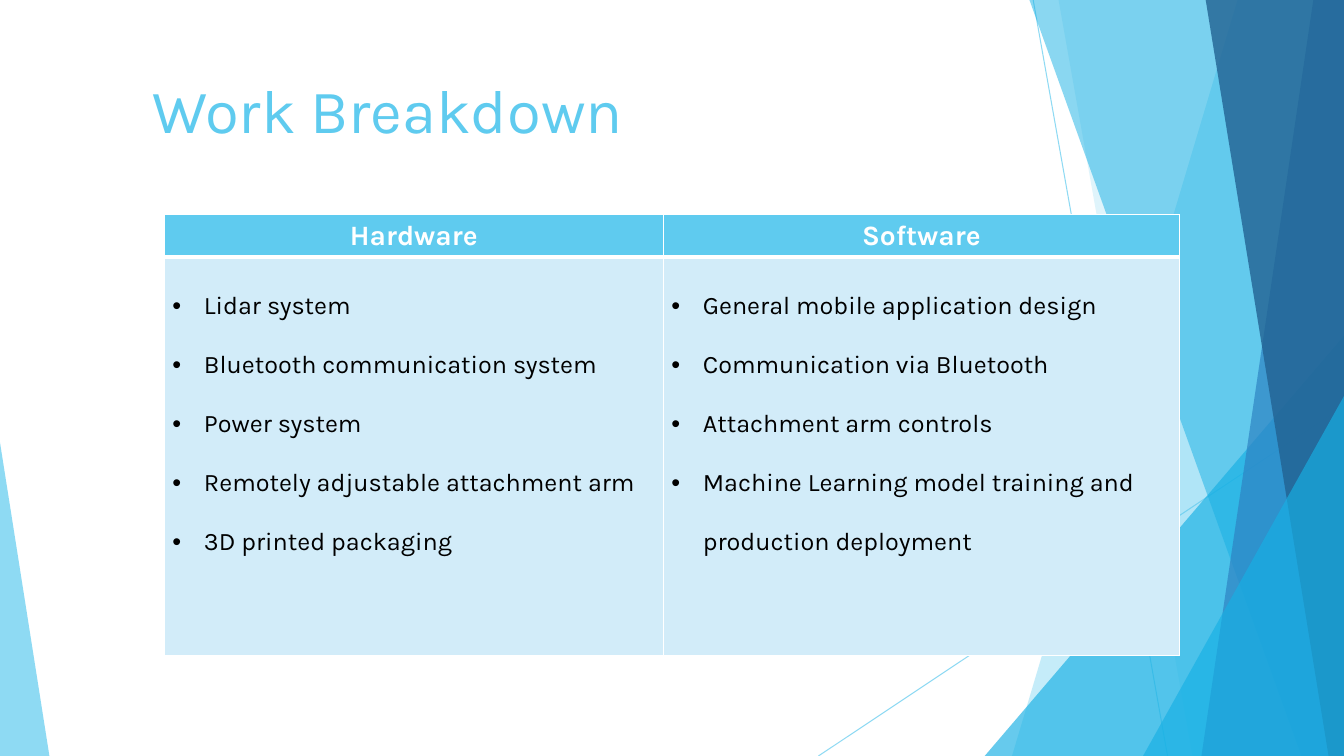
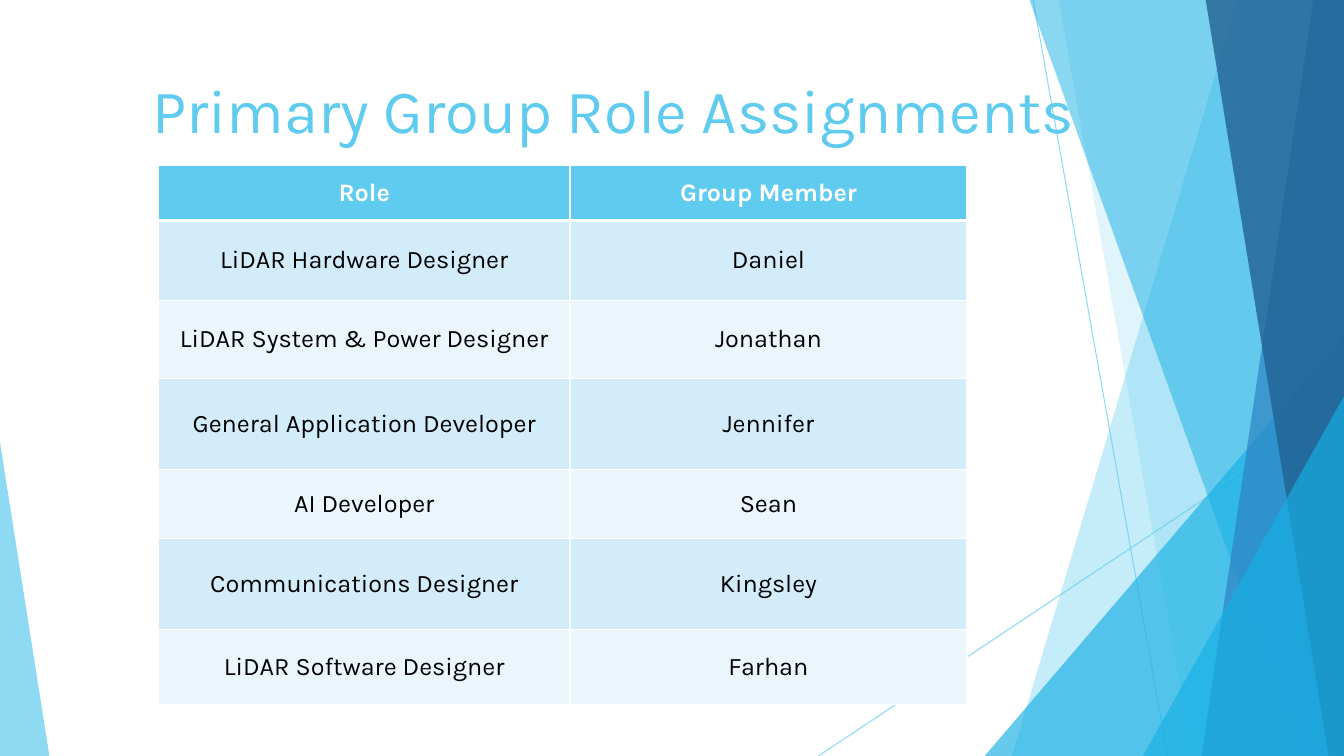
import dataclasses
import typing

import lxml.etree
import pptx
import pptx.dml.color
import pptx.enum.shapes
import pptx.enum.text
import pptx.oxml.ns
import pptx.slide
import pptx.table
import pptx.util

Pt = pptx.util.Pt
RGBColor = pptx.dml.color.RGBColor
qn = pptx.oxml.ns.qn

SKY = RGBColor(0x5F, 0xCB, 0xEF)
CYAN = RGBColor(0x17, 0xB0, 0xE4)
BLUE = RGBColor(0x2E, 0x83, 0xC3)
NAVY = RGBColor(0x22, 0x62, 0x92)
PALE = RGBColor(0xD2, 0xEC, 0xF9)
PALER = RGBColor(0xEA, 0xF6, 0xFC)
WHITE = RGBColor(0xFF, 0xFF, 0xFF)
BLACK = RGBColor(0, 0, 0)

FONT_NAME = "Karla"
SLIDE_WIDTH, SLIDE_HEIGHT = 960, 540
BAND_TOP = -0.7
BULLET_INDENT = 22.5
CENTER = pptx.enum.text.PP_ALIGN.CENTER
MIDDLE = pptx.enum.text.MSO_ANCHOR.MIDDLE
TOP = pptx.enum.text.MSO_ANCHOR.TOP


@dataclasses.dataclass(frozen=True)
class Ray:
    """A thin decorative line."""
    begin: tuple[float, float]
    end: tuple[float, float]


@dataclasses.dataclass(frozen=True)
class Band:
    """A band from a slanted left edge to the right edge of the slide."""
    top_x: float
    bottom_x: float
    color: RGBColor
    opacity: int


@dataclasses.dataclass(frozen=True)
class Wedge:
    """A right triangle standing on the bottom edge of the slide."""
    left: float
    top: float
    width: float
    apex: float
    color: RGBColor
    opacity: int


@dataclasses.dataclass(frozen=True)
class TableSpec:
    left: float
    top: float
    column_widths: list[float]
    row_heights: list[float]
    rows: list[list[list[str]]]
    header_size: float
    margins: tuple[float, float]
    bulleted: bool = False


DECORATION = [
    Ray((738, 0), (834, 540)),
    Ray((960, 290), (584.6, 540)),
    Band(884.2, 722.9, SKY, 36),
    Band(756, 851.8, SKY, 20),
    Wedge(703.4, 239.8, 256.6, 1, CYAN, 66),
    Band(735.1, 929.5, CYAN, 50),
    Band(938.2, 858.2, BLUE, 70),
    Band(861.1, 949, NAVY, 80),
    Wedge(816.5, 283, 143.5, 1, CYAN, 66),
    Wedge(0, 316.1, 35.3, 0, SKY, 70),
]

WORK_TABLE = TableSpec(
    left=117.4, top=153.4, column_widths=[356.4, 368.8], row_heights=[30.4, 284.4],
    rows=[
        [["Hardware"], ["Software"]],
        [
            ["Lidar system", "Bluetooth communication system", "Power system",
             "Remotely adjustable attachment arm", "3D printed packaging"],
            ["General mobile application design", "Communication via Bluetooth",
             "Attachment arm controls",
             "Machine Learning model training and production deployment"],
        ],
    ],
    header_size=20, margins=(5.76, 2.88), bulleted=True,
)

ROLES = [
    ("Role", "Group Member"),
    ("LiDAR Hardware Designer", "Daniel"),
    ("LiDAR System & Power Designer", "Jonathan"),
    ("General Application Developer", "Jennifer"),
    ("AI Developer", "Sean"),
    ("Communications Designer", "Kingsley"),
    ("LiDAR Software Designer", "Farhan"),
]

ROLE_TABLE = TableSpec(
    left=113.3, top=118.3, column_widths=[293.8, 283.6],
    row_heights=[39.2, 56.9, 56.2, 65, 49.2, 65, 53.3],
    rows=[[[role], [member]] for role, member in ROLES],
    header_size=18, margins=(7.2, 3.6),
)


def apply_format(target: typing.Any, values: dict[str, typing.Any]) -> None:
    for name, value in values.items():
        setattr(target, name, value)


def set_opacity(shape: typing.Any, percent: int) -> None:
    for color in shape.element.iter(qn("a:srgbClr")):
        lxml.etree.SubElement(color, qn("a:alpha"), val=str(percent * 1000))


def paint(shape: typing.Any, color: RGBColor, opacity: int) -> None:
    shape.shadow.inherit = False
    shape.line.fill.background()
    shape.fill.solid()
    shape.fill.fore_color.rgb = color
    set_opacity(shape, opacity)


def draw_ray(slide: pptx.slide.Slide, ray: Ray) -> None:
    connector = slide.shapes.add_connector(
        pptx.enum.shapes.MSO_CONNECTOR.STRAIGHT,
        *(Pt(value) for value in ray.begin + ray.end))
    connector.line.width = Pt(0.75)
    connector.line.color.rgb = SKY
    set_opacity(connector, 70)
    lxml.etree.SubElement(connector.element.spPr, qn("a:effectLst"))


def draw_band(slide: pptx.slide.Slide, band: Band) -> None:
    builder = slide.shapes.build_freeform(Pt(band.top_x), Pt(BAND_TOP))
    corners = [(SLIDE_WIDTH, BAND_TOP), (SLIDE_WIDTH, SLIDE_HEIGHT),
               (band.bottom_x, SLIDE_HEIGHT)]
    builder.add_line_segments([(Pt(x), Pt(y)) for x, y in corners], close=True)
    paint(builder.convert_to_shape(), band.color, band.opacity)


def draw_wedge(slide: pptx.slide.Slide, wedge: Wedge) -> None:
    triangle = slide.shapes.add_shape(
        pptx.enum.shapes.MSO_SHAPE.ISOSCELES_TRIANGLE, Pt(wedge.left), Pt(wedge.top),
        Pt(wedge.width), Pt(SLIDE_HEIGHT - wedge.top))
    triangle.adjustments[0] = wedge.apex
    paint(triangle, wedge.color, wedge.opacity)


DRAWERS = {Ray: draw_ray, Band: draw_band, Wedge: draw_wedge}


def write_text(paragraph: typing.Any, text: str, size: float, color: RGBColor,
               bold: bool = False) -> None:
    run = paragraph.add_run()
    run.text = text
    apply_format(run.font, {"name": FONT_NAME, "size": Pt(size), "bold": bold})
    run.font.color.rgb = color


def add_bullet(paragraph: typing.Any) -> None:
    paragraph.line_spacing = 2.0
    properties = paragraph._p.get_or_add_pPr()
    properties.set("marL", str(Pt(BULLET_INDENT)))
    properties.set("indent", str(-Pt(BULLET_INDENT)))
    lxml.etree.SubElement(properties, qn("a:buFont"), typeface="Arial")
    lxml.etree.SubElement(properties, qn("a:buChar"), char="•")


def add_borders(cell: pptx.table._Cell, top: float, bottom: float) -> None:
    properties = cell._tc.get_or_add_tcPr()
    for side, width in {"L": 1, "R": 1, "T": top, "B": bottom}.items():
        line = lxml.etree.SubElement(properties, qn(f"a:ln{side}"), w=str(Pt(width)))
        fill = lxml.etree.SubElement(line, qn("a:solidFill"))
        lxml.etree.SubElement(fill, qn("a:srgbClr"), val=str(WHITE))


def fill_cell(cell: pptx.table._Cell, lines: list[str], row: int, spec: TableSpec) -> None:
    header = row == 0
    bulleted = spec.bulleted and not header
    horizontal, vertical = (Pt(margin) for margin in spec.margins)
    add_borders(cell, top=3 if row == 1 else 1, bottom=3 if header else 1)
    apply_format(cell, {
        "margin_left": horizontal, "margin_right": horizontal,
        "margin_top": vertical, "margin_bottom": vertical,
        "vertical_anchor": TOP if bulleted else MIDDLE,
    })
    cell.fill.solid()
    cell.fill.fore_color.rgb = SKY if header else (PALER, PALE)[row % 2]
    for index, text in enumerate(lines):
        frame = cell.text_frame
        paragraph = frame.add_paragraph() if index else frame.paragraphs[0]
        if bulleted:
            add_bullet(paragraph)
        else:
            paragraph.alignment = CENTER
        write_text(paragraph, text, spec.header_size if header else 18,
                   WHITE if header else BLACK, header)


def draw_table(slide: pptx.slide.Slide, spec: TableSpec) -> None:
    table = slide.shapes.add_table(
        len(spec.row_heights), len(spec.column_widths), Pt(spec.left), Pt(spec.top),
        Pt(sum(spec.column_widths)), Pt(sum(spec.row_heights))).table
    for column, width in zip(table.columns, spec.column_widths):
        column.width = Pt(width)
    for row, height in zip(table.rows, spec.row_heights):
        row.height = Pt(height)
    for row_index, row_lines in enumerate(spec.rows):
        for column_index, lines in enumerate(row_lines):
            fill_cell(table.cell(row_index, column_index), lines, row_index, spec)


def draw_title(slide: pptx.slide.Slide, text: str) -> None:
    frame = slide.shapes.add_textbox(Pt(101.5), Pt(48.2), Pt(802.8), Pt(86.4)).text_frame
    apply_format(frame, {"word_wrap": True, "vertical_anchor": TOP})
    write_text(frame.paragraphs[0], text, 44, SKY)


def add_table_slide(presentation: typing.Any, title: str, spec: TableSpec) -> None:
    slide = presentation.slides.add_slide(presentation.slide_layouts[6])
    for element in DECORATION:
        DRAWERS[type(element)](slide, element)
    draw_title(slide, title)
    draw_table(slide, spec)


def main() -> None:
    presentation = pptx.Presentation()
    apply_format(presentation, {"slide_width": Pt(SLIDE_WIDTH),
                                "slide_height": Pt(SLIDE_HEIGHT)})
    add_table_slide(presentation, "Work Breakdown", WORK_TABLE)
    add_table_slide(presentation, "Primary Group Role Assignments", ROLE_TABLE)
    presentation.save("out.pptx")


if __name__ == "__main__":
    main()
